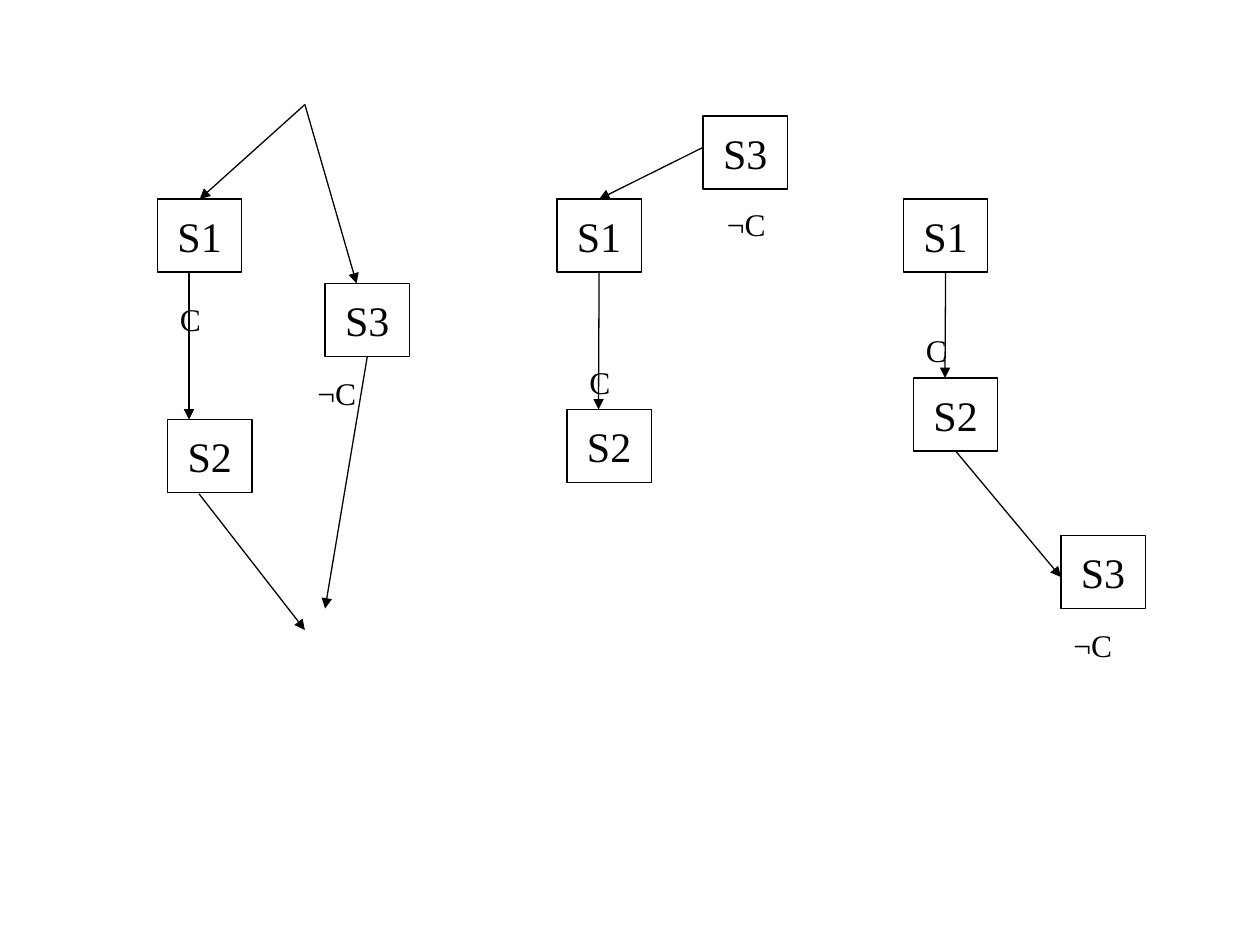
from dataclasses import dataclass

from lxml import etree
from pptx import Presentation
from pptx.dml.color import RGBColor
from pptx.enum.shapes import MSO_CONNECTOR, MSO_SHAPE
from pptx.enum.text import MSO_ANCHOR, MSO_AUTO_SIZE, PP_ALIGN
from pptx.oxml.ns import qn
from pptx.util import Inches, Pt

RECTANGLE = MSO_SHAPE.RECTANGLE
STRAIGHT = MSO_CONNECTOR.STRAIGHT
MIDDLE = MSO_ANCHOR.MIDDLE
CENTER = PP_ALIGN.CENTER
GROW = MSO_AUTO_SIZE.SHAPE_TO_FIT_TEXT
TOP, BOTTOM = 0, 2


@dataclass(frozen=True)
class Theme:
    ink: RGBColor = RGBColor(0, 0, 0)
    paper: RGBColor = RGBColor(255, 255, 255)
    font: str = "Times New Roman"
    step_size: Pt = Pt(24)
    condition_size: Pt = Pt(18)
    condition_space: Pt = Pt(11.2)
    line_width: Pt = Pt(0.75)


THEME = Theme()
STEP_WIDTH, STEP_HEIGHT = Inches(0.67), Inches(0.58)
CONDITION_HEIGHT = Inches(0.4)
CONDITION_WIDTHS = {"C": Inches(0.25), "¬C": Inches(1.58)}

# Places are inches from the top left corner of each flow.
# An arrow end is a place, or a step with the side it is joined to.
FORK = (1.17, 0)
FLOWS = [
    {  # S3 on a separate branch
        "corner": (1.25, 0.83),
        "steps": {"S1": (0, 0.75), "S3": (1.33, 1.42), "S2": (0.08, 2.5)},
        "arrows": [
            (FORK, ("S1", TOP)),
            (FORK, (1.58, 1.42)),
            ((0.25, 1.34), (0.25, 2.5)),
            ((0.33, 3.09), (1.17, 4.17)),
            (("S3", BOTTOM), (1.33, 4)),
        ],
        "conditions": {"C": (0.08, 1.5), "¬C": (1.17, 2.09)},
    },
    {  # S3 moved ahead of S1
        "corner": (4.42, 0.92),
        "steps": {"S1": (0, 0.66), "S2": (0.08, 2.33), "S3": (1.16, 0)},
        "arrows": [
            ((1.16, 0.25), ("S1", TOP)),
            (("S1", BOTTOM), (0.33, 2.33)),
        ],
        "conditions": {"C": (0.16, 1.91), "¬C": (1.25, 0.66)},
    },
    {  # S3 moved after S2
        "corner": (7.17, 1.58),
        "steps": {"S1": (0, 0), "S2": (0.08, 1.42), "S3": (1.25, 2.67)},
        "arrows": [
            (("S1", BOTTOM), (0.33, 1.42)),
            (("S2", BOTTOM), (1.25, 3)),
        ],
        "conditions": {"C": (0.08, 1), "¬C": (1.25, 3.34)},
    },
]


def add_run(paragraph, text, size):
    run = paragraph.add_run()
    run.text = text
    run.font.name = THEME.font
    run.font.size = size
    run.font.color.rgb = THEME.ink


def add_step(slide, left, top, name):
    step = slide.shapes.add_shape(RECTANGLE, left, top, STEP_WIDTH, STEP_HEIGHT)
    step.shadow.inherit = False
    step.fill.solid()
    step.fill.fore_color.rgb = THEME.paper
    step.line.color.rgb = THEME.ink
    step.line.width = THEME.line_width
    frame = step.text_frame
    frame.word_wrap = False
    frame.vertical_anchor = MIDDLE
    frame.paragraphs[0].alignment = CENTER
    add_run(frame.paragraphs[0], name, THEME.step_size)
    return step


def add_condition(slide, left, top, text):
    label = slide.shapes.add_textbox(left, top, CONDITION_WIDTHS[text], CONDITION_HEIGHT)
    frame = label.text_frame
    frame.word_wrap = True
    frame.auto_size = GROW
    frame.paragraphs[0].space_before = THEME.condition_space
    add_run(frame.paragraphs[0], text, THEME.condition_size)


def add_arrow(slide, start, end):
    arrow = slide.shapes.add_connector(STRAIGHT, *start, *end)
    arrow.line.color.rgb = THEME.ink
    arrow.line.width = THEME.line_width
    etree.SubElement(arrow.line._get_or_add_ln(), qn("a:tailEnd"), type="triangle")
    etree.SubElement(arrow._element.spPr, qn("a:effectLst"))
    return arrow


def add_flow(slide, corner, steps, arrows, conditions):
    def place(offset):
        return [Inches(base + shift) for base, shift in zip(corner, offset)]

    boxes = {name: add_step(slide, *place(at), name) for name, at in steps.items()}

    def locate(end):
        if end[0] not in boxes:
            return place(end)
        box = boxes[end[0]]
        return box.left + box.width // 2, box.top + (box.height if end[1] == BOTTOM else 0)

    for start, end in arrows:
        arrow = add_arrow(slide, locate(start), locate(end))
        if start[0] in boxes:
            arrow.begin_connect(boxes[start[0]], start[1])
        if end[0] in boxes:
            arrow.end_connect(boxes[end[0]], end[1])

    for text, at in conditions.items():
        add_condition(slide, *place(at), text)


def main():
    deck = Presentation()
    deck.slide_width, deck.slide_height = Inches(10), Inches(7.5)
    slide = deck.slides.add_slide(deck.slide_layouts[6])
    slide.background.fill.solid()
    slide.background.fill.fore_color.rgb = THEME.paper
    for flow in FLOWS:
        add_flow(slide, **flow)
    deck.save("out.pptx")


if __name__ == "__main__":
    main()
